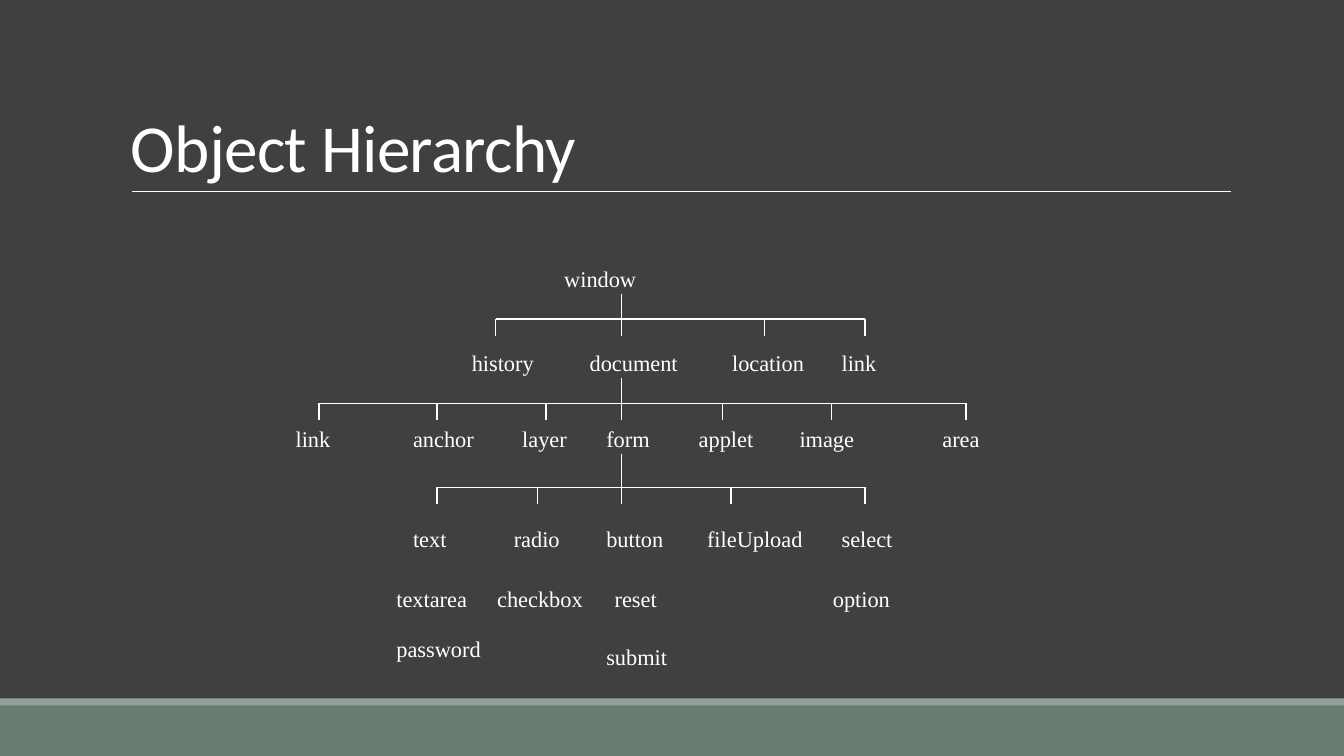
"""Build the Object Hierarchy slide: a tree of browser objects on a dark page."""
import pptx
import pptx.dml.color
import pptx.enum.shapes
import pptx.enum.text
import pptx.oxml.ns
import pptx.util
from lxml import etree

Cm = pptx.util.Cm
Pt = pptx.util.Pt
RGBColor = pptx.dml.color.RGBColor

CHARCOAL = RGBColor(0x40, 0x40, 0x40)
GREEN = RGBColor(0x6B, 0x7D, 0x72)
PALE_GREEN = RGBColor(0x93, 0xA2, 0x99)
WHITE = RGBColor(0xFF, 0xFF, 0xFF)

deck = pptx.Presentation()
deck.slide_width = Cm(33.87)
deck.slide_height = Cm(19.05)
page = deck.slides.add_slide(deck.slide_layouts[6])
page.background.fill.solid()
page.background.fill.fore_color.rgb = CHARCOAL


def add_text(text, left, top, width, height=0.94, font="Times New Roman", size=16,
             anchor=pptx.enum.text.MSO_ANCHOR.TOP, line_spacing=None, tracking=None):
    box = page.shapes.add_textbox(Cm(left), Cm(top), Cm(width), Cm(height))
    frame = box.text_frame
    frame.word_wrap = True
    frame.vertical_anchor = anchor
    para = frame.paragraphs[0]
    para.line_spacing = line_spacing
    span = para.add_run()
    span.text = text
    span.font.name = font
    span.font.size = Pt(size)
    span.font.color.rgb = WHITE
    if tracking is not None:
        span.font._element.set("spc", str(tracking))


def add_line(x1, y1, x2, y2, weight=1):
    line = page.shapes.add_connector(
        pptx.enum.shapes.MSO_CONNECTOR.STRAIGHT, Cm(x1), Cm(y1), Cm(x2), Cm(y2))
    line.line.color.rgb = WHITE
    line.line.width = Pt(weight)
    etree.SubElement(line._element.spPr, pptx.oxml.ns.qn("a:effectLst"))


for top, height, color in [(17.78, 1.27, GREEN), (17.6, 0.18, PALE_GREEN)]:
    band = page.shapes.add_shape(
        pptx.enum.shapes.MSO_SHAPE.RECTANGLE, 0, Cm(top), deck.slide_width, Cm(height))
    band.shadow.inherit = False
    band.fill.solid()
    band.fill.fore_color.rgb = color
    band.line.fill.background()

add_line(3.33, 4.83, 31.01, 4.83, weight=0.5)
add_text("Object Hierarchy", 3.05, 0.79, 27.94, 4.04, font="Calibri", size=48,
         anchor=pptx.enum.text.MSO_ANCHOR.BOTTOM, line_spacing=0.85, tracking=-50)

label_rows = [
    (6.56, [("window", 13.97, 3.81)]),
    (8.68, [("history", 11.64, 2.12), ("document", 14.61, 2.75),
            ("location", 18.2, 2.75), ("link", 20.96, 1.69)]),
    (10.58, [("link", 7.2, 1.69), ("anchor", 10.16, 2.33), ("layer", 12.91, 1.69),
             ("form", 15.03, 1.69), ("applet", 17.36, 1.91), ("image", 19.9, 2.12),
             ("area", 23.5, 1.69)]),
    (13.12, [("text", 10.16, 1.69), ("radio", 12.7, 1.69), ("button", 15.03, 2.12),
             ("fileUpload", 17.57, 3.18), ("select", 20.96, 2.12)]),
    (14.61, [("textarea", 9.74, 2.54), ("checkbox", 12.28, 2.96),
             ("reset", 15.24, 1.69), ("option", 20.74, 2.33)]),
    (15.88, [("password", 9.74, 2.75)]),
    (16.09, [("submit", 15.03, 2.12)]),
]
for top, labels in label_rows:
    for text, left, width in labels:
        add_text(text, left, top, width)

stem_x = 15.66
branches = [
    (7.41, 8.04, 8.47, [12.49, stem_x, 19.26, 21.8]),
    (9.53, 10.16, 10.58, [8.04, 11.01, 13.76, stem_x, 18.2, 20.96, 24.34]),
    (11.43, 12.28, 12.7, [11.01, 13.55, stem_x, 18.42, 21.8]),
]
for stem_top, bar_y, drop_bottom, drops in branches:
    add_line(stem_x, stem_top, stem_x, bar_y)
    add_line(drops[0], bar_y, drops[-1], bar_y)
    for drop_x in drops:
        add_line(drop_x, bar_y, drop_x, drop_bottom)

deck.save("out.pptx")
